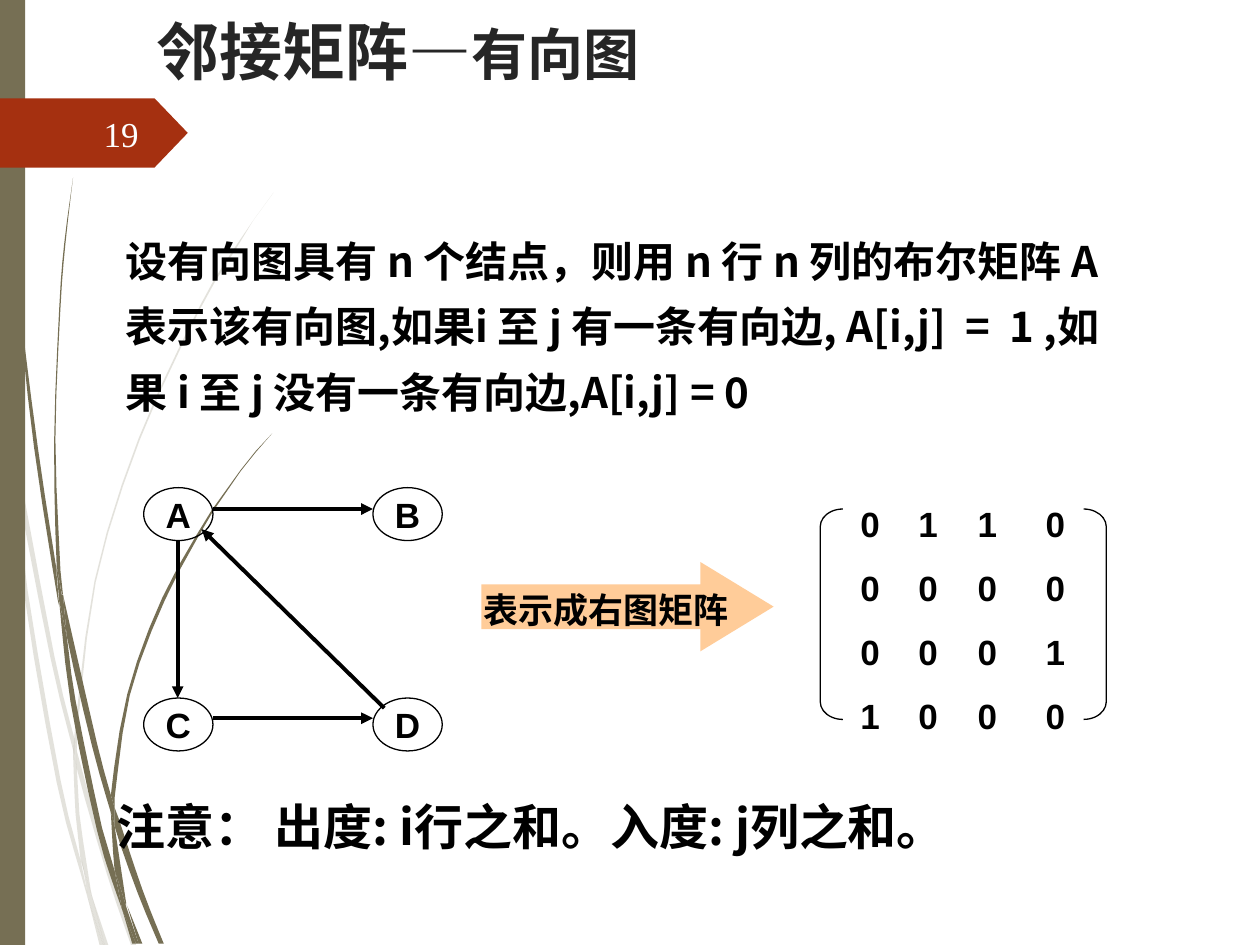
from lxml import etree
from pptx import Presentation
from pptx.dml.color import RGBColor
from pptx.enum.shapes import MSO_CONNECTOR as Connector, MSO_SHAPE as Shape
from pptx.enum.text import MSO_ANCHOR as Anchor, MSO_AUTO_SIZE as AutoSize, PP_ALIGN as Align
from pptx.oxml.ns import qn
from pptx.util import Inches, Pt

COLORS = {"olive": "766F54", "red": "A53010", "title": "262626", "white": "FEFFFF",
          "black": "000000", "peach": "FFCC99"}
SANS, CJK, SERIF, TITLE = "Arial", "Noto Sans CJK SC", "Times New Roman", "TeX Gyre Adventor"

# Each wisp piece is a pair of edges: one down, one back up
PALE_WISPS = [
    ([(.08, 3.5), (.06, 3.22), (0, 2.82)], [(0, 2.99), (.07, 3.44), (.08, 3.5)]),
    ([(.1, 3.45), (.12, 3.76), (.4, 5.22), (.59, 5.99)], [(.59, 5.86), (.43, 5.2), (.1, 3.45)]),
    ([(.61, 5.96), (.61, 6.1), (.85, 6.94), (1.04, 7.5)],
     [(1.08, 7.5), (.88, 6.92), (.64, 6.07), (.61, 5.96)]),
    ([(.73, 7.11), (.83, 7.5)], [(.86, 7.5), (.73, 7.11)]),
    ([(.08, 3.5), (.19, 4.7), (.45, 6.21), (.64, 6.93), (.7, 7.14)],
     [(.69, 7.07), (.64, 6.83), (.48, 6.19), (.22, 4.69), (.12, 3.76), (.08, 3.5)]),
    ([(.58, 5.99), (.6, 6.46), (.64, 6.83), (.67, 6.92), (.73, 7.11)],
     [(.72, 7.06), (.63, 6.46), (.61, 6.1), (.61, 6.08), (.58, 5.99)]),
    ([(2.17, 1.53), (2.01, 1.75), (1.86, 1.97), (1.58, 2.44), (1.1, 3.48), (.75, 4.61),
      (.59, 5.84), (.59, 5.86), (.61, 5.96)],
     [(.61, 5.84), (.76, 4.62), (1.11, 3.49), (1.59, 2.45), (1.87, 1.98), (2.01, 1.75),
      (2.17, 1.53)]),
    ([(.7, 7.14), (.79, 7.5)], [(.82, 7.5), (.7, 7.14)]),
    ([(.59, 5.86), (.58, 5.99), (.61, 6.08), (.61, 6.1)], [(.61, 5.96), (.59, 5.86)]),
    ([(.65, 6.83), (.69, 7.07), (.7, 7.14), (.82, 7.5)],
     [(.83, 7.5), (.73, 7.11), (.67, 6.92), (.65, 6.83)]),
]
DARK_WISPS = [
    ([(.02, 0), (.03, .48), (.05, 1.1), (.14, 2.33), (.27, 3.55), (.46, 4.77), (.47, 4.81)],
     [(.45, 4.57), (.45, 4.53), (.3, 3.55), (.15, 2.32), (.06, 1.09), (.04, .48), (.03, 0)]),
    ([(.5, 4.72), (.53, 5.05), (.73, 5.92), (.88, 6.45)],
     [(.88, 6.33), (.88, 6.31), (.77, 5.9), (.5, 4.72)]),
    ([(.91, 6.41), (.91, 6.56), (1.09, 7.08), (1.26, 7.49)],
     [(1.3, 7.49), (1.13, 7.06), (.94, 6.49), (.91, 6.41)]),
    ([(.47, 4.77), (.56, 5.57), (.77, 6.59), (.92, 7.08), (.97, 7.22)],
     [(.96, 7.17), (.91, 6.91), (.81, 6.57), (.6, 5.56), (.53, 5.05), (.47, 4.77)]),
    ([(.58, 1.41), (.51, 1.93), (.47, 2.45), (.43, 3.49), (.45, 4.49), (.49, 4.71), (.5, 4.72)],
     [(.48, 4.53), (.44, 3.49), (.48, 2.45), (.52, 1.93), (.58, 1.41)]),
    ([(1.01, 7.19), (1.1, 7.49)], [(1.13, 7.49), (1.01, 7.19)]),
    ([(.45, 4.49), (.45, 4.53), (.47, 4.77), (.53, 5.05)],
     [(.5, 4.72), (.49, 4.72), (.45, 4.49)]),
    ([(2.16, 3.44), (2.03, 3.58), (1.91, 3.73), (1.68, 4.05), (1.29, 4.74), (1.01, 5.51),
      (.88, 6.31), (.91, 6.41)],
     [(.91, 6.33), (1.03, 5.52), (1.31, 4.76), (1.69, 4.06), (1.91, 3.74), (2.03, 3.59),
      (2.16, 3.44)]),
    ([(.97, 7.22), (1.05, 7.49)], [(1.08, 7.49), (.97, 7.22)]),
    ([(.88, 6.45), (.91, 6.91), (.96, 7.06), (1, 7.19)],
     [(1, 7.16), (.91, 6.56), (.9, 6.51), (.88, 6.45)]),
    ([(.88, 6.31), (.88, 6.45), (.9, 6.51), (.91, 6.56)], [(.91, 6.41), (.88, 6.31)]),
    ([(.91, 6.91), (.96, 7.17), (.97, 7.22), (1.08, 7.49)],
     [(1.1, 7.49), (1, 7.19), (.96, 7.06), (.91, 6.91)]),
]


def smooth(edge):
    """Catmull-Rom curve through the points of an edge, finer on long spans."""
    padded = [edge[0], *edge, edge[-1]]
    curve = [edge[0]]
    for a, b, c, d in zip(padded, padded[1:], padded[2:], padded[3:]):
        steps = 3 if abs(c[1] - b[1]) > 0.4 and len(edge) > 2 else 1
        for step in range(1, steps + 1):
            t = step / steps
            curve.append(tuple(
                (2 * q + (r - p) * t + (2 * p - 5 * q + 4 * r - s) * t ** 2
                 + (3 * q - p - 3 * r + s) * t ** 3) / 2
                for p, q, r, s in zip(a, b, c, d)))
    return curve


class SlideBuilder:
    def __init__(self, presentation):
        self.slide = presentation.slides.add_slide(presentation.slide_layouts[5])
        self.shapes = self.slide.shapes

    def paint(self, shape, fill=None, line=None, alpha=None):
        shape.shadow.inherit = False
        if fill:
            shape.fill.solid()
            shape.fill.fore_color.rgb = RGBColor.from_string(COLORS[fill])
            if alpha:
                color = shape._element.spPr.find(qn("a:solidFill"))[0]
                etree.SubElement(color, qn("a:alpha"), val=str(alpha * 1000))
        else:
            shape.fill.background()
        if line:
            shape.line.color.rgb = RGBColor.from_string(COLORS[line])
            shape.line.width = Pt(0.75)
        else:
            shape.line.fill.background()

    def style(self, run, size, font, color="black", bold=True):
        run.font.size, run.font.name, run.font.bold = Pt(size), font, bold
        run.font.color.rgb = RGBColor.from_string(COLORS[color])
        if font == CJK:
            etree.SubElement(run._r.get_or_add_rPr(), qn("a:ea"), typeface=font)

    def title(self, box, parts):
        title = self.shapes.title
        title.left, title.top, title.width, title.height = map(Inches, box)
        frame = title.text_frame
        frame.auto_size, frame.vertical_anchor = AutoSize.NONE, Anchor.TOP
        paragraph = frame.paragraphs[0]
        paragraph.alignment = Align.LEFT
        for text, size in parts:
            run = paragraph.add_run()
            run.text = text
            self.style(run, size, TITLE, "title")

    def text(self, box, lines, size, font, color="black", bold=True, align=Align.LEFT,
             anchor=Anchor.TOP, spacing=None, before=0, tabs=()):
        frame = self.shapes.add_textbox(*map(Inches, box)).text_frame
        frame.word_wrap, frame.vertical_anchor = True, anchor
        frame.text = "\n".join(lines)
        for index, paragraph in enumerate(frame.paragraphs):
            if tabs:
                tab_list = etree.SubElement(paragraph._p.get_or_add_pPr(), qn("a:tabLst"))
                for tab in tabs:
                    etree.SubElement(tab_list, qn("a:tab"), pos=str(Inches(tab)), algn="l")
            paragraph.alignment = align
            if spacing:
                paragraph.line_spacing = spacing
            if index:
                paragraph.space_before = Pt(before)
            for run in paragraph.runs:
                self.style(run, size, font, color, bold)

    def preset(self, kind, box, fill=None, line=None, adjustments=()):
        shape = self.shapes.add_shape(kind, *map(Inches, box))
        for index, value in enumerate(adjustments):
            shape.adjustments[index] = value
        self.paint(shape, fill, line)
        return shape

    def node(self, box, label):
        frame = self.preset(Shape.OVAL, box, line="black").text_frame
        frame.word_wrap, frame.vertical_anchor = False, Anchor.MIDDLE
        frame.text = label
        frame.paragraphs[0].alignment = Align.CENTER
        self.style(frame.paragraphs[0].runs[0], 20, SANS)

    def arrow(self, start, end):
        arrow = self.shapes.add_connector(Connector.STRAIGHT, *map(Inches, start + end))
        arrow.line.color.rgb = RGBColor.from_string(COLORS["black"])
        arrow.line.width = Pt(2.25)
        etree.SubElement(arrow.line._get_or_add_ln(), qn("a:tailEnd"), type="triangle")
        etree.SubElement(arrow._element.spPr, qn("a:effectLst"))

    def wisp(self, down, up, alpha=None):
        points = [(Inches(x), Inches(y)) for x, y in smooth(down) + smooth(up)]
        builder = self.shapes.build_freeform(*points[0])
        builder.add_line_segments(points[1:], close=True)
        self.paint(builder.convert_to_shape(), "olive", alpha=alpha)


def main():
    presentation = Presentation()
    presentation.slide_width, presentation.slide_height = Inches(10), Inches(7.5)
    page = SlideBuilder(presentation)

    # Background decoration
    for down, up in PALE_WISPS:
        page.wisp(down, up, alpha=20)
    for down, up in DARK_WISPS:
        page.wisp(down, up)
    page.preset(Shape.RECTANGLE, (0, 0, 0.2, 7.5), "olive")
    page.preset(Shape.PENTAGON, (0, 0.78, 1.49, 0.55), "red", adjustments=[0.48])

    # Title, page number and definition
    page.title((1.14, 0.05, 7.55, 0.74), [("邻接矩阵—", 36), ("有向图", 32)])
    page.text((0.56, 0.86, 0.64, 0.4), ["19"], 20, SERIF, "white", False,
              Align.RIGHT, Anchor.MIDDLE)
    page.text((0.9, 1.7, 8.17, 2.18),
              ["设有向图具有 n 个结点，则用 n 行 n 列的布尔矩阵 A 表示该有向图,如果i 至 j "
               "有一条有向边, A[i,j]  =  1 ,如果 i 至 j 没有一条有向边,A[i,j] = 0"],
              24, CJK, spacing=1.3)

    # Directed graph
    for index, label in enumerate("ABCD"):
        row, column = divmod(index, 2)
        page.node((1.14 + 1.82 * column, 3.87 + 1.67 * row, 0.55, 0.42), label)
    for start, end in [((1.69, 4.04), (2.96, 4.04)), ((1.69, 5.7), (2.96, 5.7)),
                       ((1.41, 4.29), (1.41, 5.54)), ((3.05, 5.62), (1.6, 4.2))]:
        page.arrow(start, end)

    # Arrow to the matrix
    page.preset(Shape.RIGHT_ARROW, (3.82, 4.46, 2.32, 0.71), "peach", adjustments=[0.5, 0.82])
    page.text((3.74, 4.62, 2.36, 0.44), ["表示成右图矩阵"], 20, SANS)

    # Adjacency matrix
    for kind, left in [(Shape.LEFT_BRACKET, 6.51), (Shape.RIGHT_BRACKET, 8.6)]:
        page.preset(kind, (left, 4.04, 0.18, 1.67), line="black", adjustments=[0.78])
    matrix = ["0110", "0000", "0001", "1000"]
    page.text((6.73, 3.94, 1.91, 1.96), ["\t".join(row) for row in matrix], 20, SANS,
              before=12.5, tabs=(0.46, 0.93, 1.47))

    # Note on degrees
    page.text((0.83, 6.27, 8.58, 0.57), ["注意： 出度: i行之和。入度: j列之和。"], 28, CJK)

    presentation.save("out.pptx")


if __name__ == "__main__":
    main()
